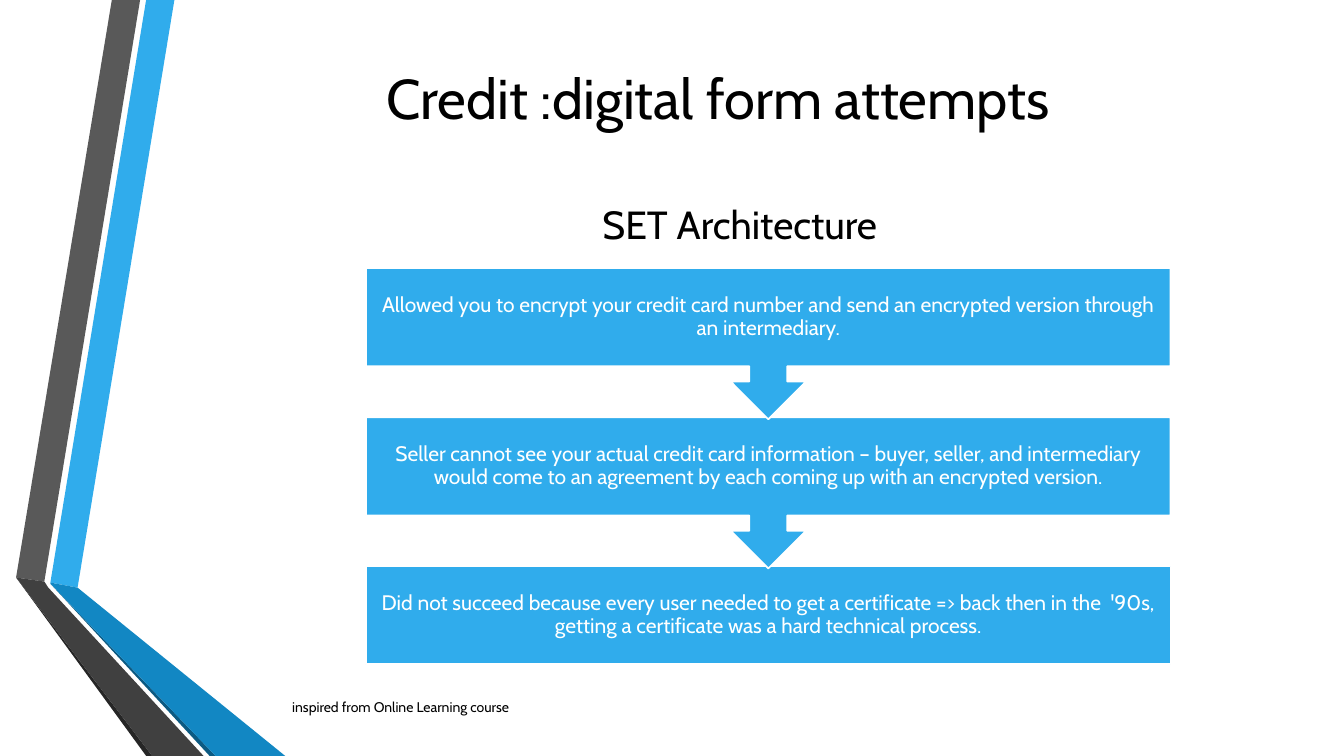
from pptx import Presentation
from pptx.dml.color import RGBColor
from pptx.enum.shapes import MSO_SHAPE
from pptx.enum.text import MSO_ANCHOR, PP_ALIGN
from pptx.util import Inches, Pt

BLACK = RGBColor(0x00, 0x00, 0x00)
WHITE = RGBColor(0xFF, 0xFF, 0xFF)
BLUE = RGBColor(0x30, 0xAC, 0xEC)
BLUE_FOLD = RGBColor(0x12, 0x87, 0xC3)
BLUE_EDGE = RGBColor(0x0C, 0x5A, 0x82)
GRAY = RGBColor(0x59, 0x59, 0x59)
GRAY_FOLD = RGBColor(0x40, 0x40, 0x40)
GRAY_EDGE = RGBColor(0x26, 0x26, 0x26)
FONT = "Cabin"

RIBBON_PARTS = [
    (BLUE, [(0.5, 5.78), (0.77, 5.83), (1.73, 0), (1.45, 0)]),
    (GRAY, [(1.39, 0), (1.11, 0), (0.16, 5.73), (0.44, 5.77)]),
    (GRAY_EDGE, [(0.16, 5.73), (1.45, 7.5), (1.51, 7.5)]),
    (BLUE_EDGE, [(0.5, 5.79), (2.08, 7.5), (2.14, 7.5)]),
    (BLUE_FOLD, [(0.5, 5.79), (2.14, 7.5), (2.83, 7.5), (0.77, 5.83), (0.5, 5.78)]),
    (GRAY_FOLD, [(2.02, 7.5), (0.48, 5.83), (0.44, 5.77), (0.16, 5.73), (1.51, 7.5)]),
]
STEPS = [
    "Allowed you to encrypt your credit card number and send an encrypted version "
    "through an intermediary.",
    "Seller cannot see your actual credit card information – buyer, seller, and "
    "intermediary would come to an agreement by each coming up with an encrypted version.",
    "Did not succeed because every user needed to get a certificate => back then in "
    "the  '90s, getting a certificate was a hard technical process.",
]


def write_text(shape, text, size, color=BLACK, alignment=PP_ALIGN.CENTER):
    frame = shape.text_frame
    frame.word_wrap = True
    frame.vertical_anchor = MSO_ANCHOR.MIDDLE
    paragraph = frame.paragraphs[0]
    paragraph.alignment = alignment
    run = paragraph.add_run()
    run.text = text
    run.font.name = FONT
    run.font.size = Pt(size)
    run.font.color.rgb = color
    return paragraph


def add_ribbons(slide, left, top):
    """Draw the two folded ribbons, offset by left and top in inches."""
    for color, outline in RIBBON_PARTS:
        points = [(Inches(left + x), Inches(top + y)) for x, y in outline]
        builder = slide.shapes.build_freeform(*points[0])
        builder.add_line_segments(points[1:], close=True)
        ribbon = builder.convert_to_shape()
        ribbon.shadow.inherit = False
        ribbon.fill.solid()
        ribbon.fill.fore_color.rgb = color
        ribbon.line.fill.background()


def place_title(slide, left, top, width, height):
    title = slide.shapes.title
    title.left, title.top = Inches(left), Inches(top)
    title.width, title.height = Inches(width), Inches(height)
    write_text(title, "Credit :digital form attempts", 40)


def add_label(slide, text, size, alignment, left, top, width, height):
    label = slide.shapes.add_textbox(
        Inches(left), Inches(top), Inches(width), Inches(height))
    write_text(label, text, size, alignment=alignment)


def add_process(slide, left, top, width, height):
    """Stack the steps; every step but the last points down to the next."""
    box_height = 0.97
    pitch = (height - box_height) / (len(STEPS) - 1)
    callout_height = 1.5
    for index in reversed(range(len(STEPS))):
        is_last = index == len(STEPS) - 1
        step = slide.shapes.add_shape(
            MSO_SHAPE.RECTANGLE if is_last else MSO_SHAPE.DOWN_ARROW_CALLOUT,
            Inches(left), Inches(top + index * pitch),
            Inches(width), Inches(box_height if is_last else callout_height))
        step.shadow.inherit = False
        step.fill.solid()
        step.fill.fore_color.rgb = BLUE
        step.line.color.rgb = WHITE
        step.line.width = Pt(1.25)
        frame = step.text_frame
        frame.margin_left = frame.margin_right = Inches(0.12)
        frame.margin_top = frame.margin_bottom = Inches(0.12)
        paragraph = write_text(step, STEPS[index], 15, WHITE)
        paragraph.line_spacing = 0.9


def main():
    presentation = Presentation()
    presentation.slide_width = Inches(13.33)
    presentation.slide_height = Inches(7.5)
    slide = presentation.slides.add_slide(presentation.slide_layouts[5])
    add_ribbons(slide, 0, 0)
    place_title(slide, 1.64, 0, 10.96, 1.92)
    add_label(slide, "SET Architecture", 28, PP_ALIGN.CENTER, 5.44, 1.87, 3.79, 0.7)
    add_label(slide, "inspired from Online Learning course", 10, PP_ALIGN.LEFT,
              2.8, 6.81, 7.75, 0.4)
    add_process(slide, 3.63, 2.66, 7.98, 3.93)
    presentation.save("out.pptx")


if __name__ == "__main__":
    main()
